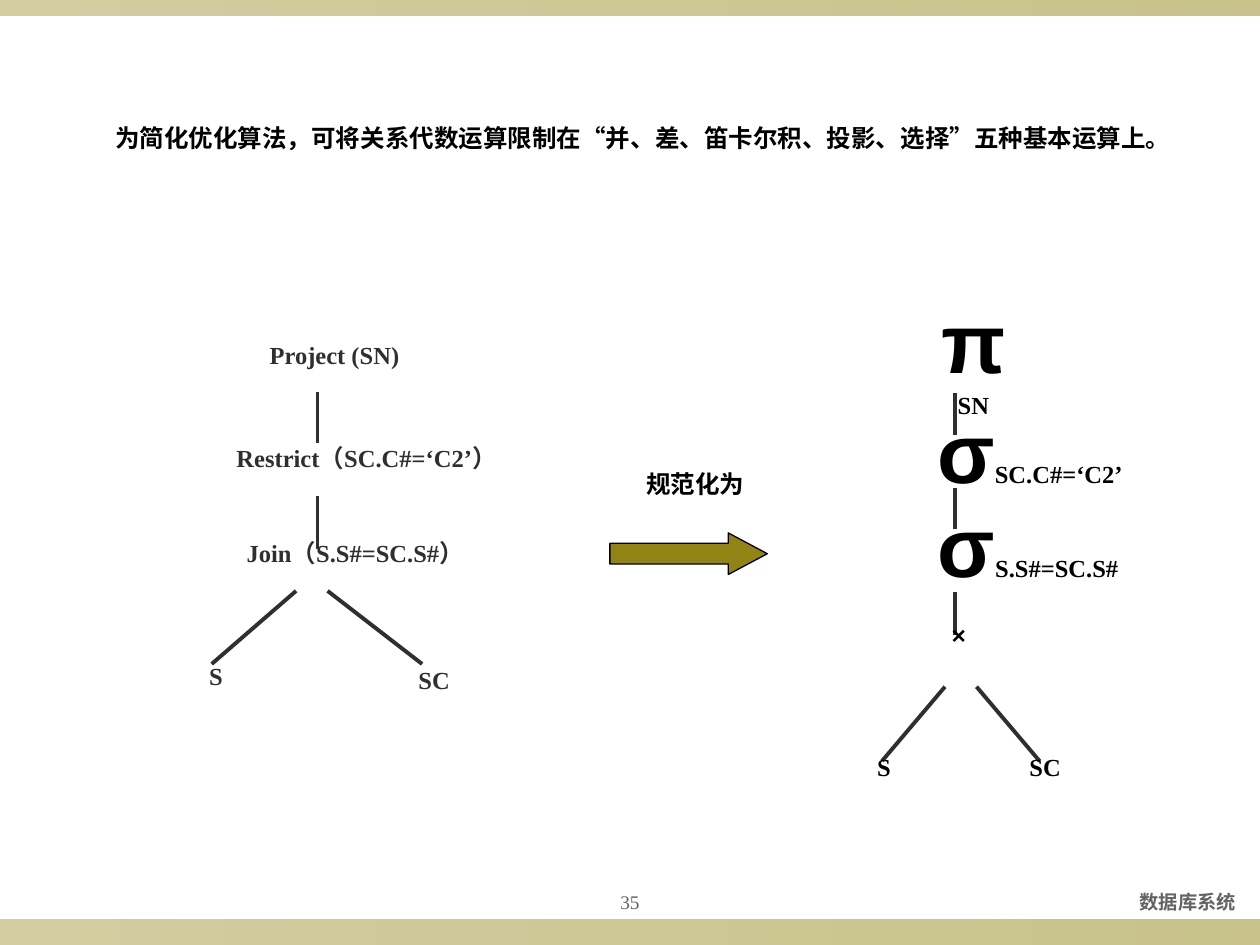
import pptx
import pptx.util
import pptx.dml.color
import pptx.enum.shapes
import pptx.enum.text
import pptx.oxml
import pptx.oxml.ns

Inches = pptx.util.Inches
Pt = pptx.util.Pt
SHAPES = pptx.enum.shapes.MSO_SHAPE
ALIGN = pptx.enum.text.PP_ALIGN
ANCHOR = pptx.enum.text.MSO_ANCHOR
BLACK, DARK, GRAY, OLIVE = "000000", "2F2F2F", "636363", "918415"

presentation = pptx.Presentation()
presentation.slide_width = Inches(10)
presentation.slide_height = Inches(7.5)
slide = presentation.slides.add_slide(presentation.slide_layouts[6])


def rgb(value):
    return pptx.dml.color.RGBColor.from_string(value)


def add_text(text, left, top, width, height=0.34, size=14, font="Times New Roman",
             color=BLACK, bold=True, align=ALIGN.CENTER, anchor=ANCHOR.TOP,
             wrap=False, inset=0.1, space_before=0, symbol="", stacked=False):
    """Add a text box; an optional large symbol comes before or above the text."""
    box = slide.shapes.add_textbox(Inches(left), Inches(top), Inches(width), Inches(height))
    frame = box.text_frame
    frame.word_wrap = wrap
    frame.vertical_anchor = anchor
    frame.margin_left = Inches(inset)
    paragraph = frame.paragraphs[0]
    paragraph.alignment = align
    if space_before:
        paragraph.space_before = Pt(space_before)
    for content, points, name in ((symbol, 48, "Arial"), (text, size, font)):
        if not content:
            continue
        run = paragraph.add_run()
        run.text = content
        run.font.size = Pt(points)
        run.font.name = name
        run.font.bold = bold
        run.font.color.rgb = rgb(color)
        if stacked and content == symbol:
            paragraph.add_line_break()


# Bands at the bottom and top edges
for top, height in ((7.3, 0.2), (0, 0.12)):
    band = slide.shapes.add_shape(SHAPES.RECTANGLE, 0, Inches(top), Inches(10), Inches(height))
    band.shadow.inherit = False
    band.line.fill.background()
    band.fill.gradient()
    band.fill.gradient_angle = 0
    for stop in band.fill.gradient_stops:
        stop.color.rgb = rgb(OLIVE)
    color_elements = band._element.spPr.iter(pptx.oxml.ns.qn("a:srgbClr"))
    for color_element, opacity in zip(list(color_elements), (40000, 50000)):
        color_element.append(pptx.oxml.parse_xml(
            f'<a:alpha {pptx.oxml.ns.nsdecls("a")} val="{opacity}"/>'))

# Footer and slide number
add_text("数据库系统", 5.83, 7, 4.08, 0.31, size=11, color=GRAY,
         align=ALIGN.RIGHT, anchor=ANCHOR.MIDDLE, wrap=True)
add_text("35", 4.5, 7, 1, 0.31, size=11, color=GRAY, bold=False,
         anchor=ANCHOR.MIDDLE, wrap=True)

# Opening statement
add_text("为简化优化算法，可将关系代数运算限制在“并、差、笛卡尔积、投影、选择”五种基本运算上。",
         0.25, 0.93, 9.42, wrap=True, inset=0.39)

# Tree edges: left tree, then right tree
edges = [
    (2.52, 3.11, 2.52, 3.52),
    (2.52, 3.94, 2.52, 4.36),
    (2.35, 4.69, 1.68, 5.27),
    (2.6, 4.69, 3.35, 5.27),
    (7.58, 3.12, 7.58, 3.45),
    (7.58, 3.87, 7.58, 4.2),
    (7.58, 4.7, 7.58, 5.04),
    (7.5, 5.45, 7, 6.04),
    (7.75, 5.45, 8.25, 6.04),
]
for edge in edges:
    connector = slide.shapes.add_connector(
        pptx.enum.shapes.MSO_CONNECTOR.STRAIGHT, *map(Inches, edge))
    connector.line.color.rgb = rgb(DARK)
    connector.line.width = Pt(2.25)
    connector._element.spPr.append(
        pptx.oxml.parse_xml(f'<a:effectLst {pptx.oxml.ns.nsdecls("a")}/>'))

# Left tree nodes
for text, left, top, width in (
    ("Project (SN)", 2.04, 2.65, 1.23),
    ("Restrict（SC.C#=‘C2’）", 1.71, 3.47, 2.4),
    ("Join（S.S#=SC.S#）", 1.79, 4.22, 2.06),
    ("S", 1.56, 5.2, 0.31),
    ("SC", 3.22, 5.23, 0.45),
):
    add_text(text, left, top, width, color=DARK)

# Arrow between the trees
arrow = slide.shapes.add_shape(
    SHAPES.RIGHT_ARROW, Inches(4.84), Inches(4.23), Inches(1.25), Inches(0.33))
arrow.adjustments[0] = 0.5
arrow.adjustments[1] = 0.94
arrow.shadow.inherit = False
arrow.fill.solid()
arrow.fill.fore_color.rgb = rgb(OLIVE)
arrow.line.color.rgb = rgb(BLACK)
arrow.line.width = Pt(0.75)
add_text("规范化为", 5.03, 3.67, 0.98)

# Right tree nodes
add_text("SN", 7.32, 2.25, 0.81, 0.9, symbol="π", stacked=True)
add_text("SC.C#=‘C2’", 7.13, 3.12, 2.09, 0.9, symbol="σ", wrap=True)
add_text("S.S#=SC.S#", 7.13, 3.87, 2.06, 0.9, symbol="σ", wrap=True)
add_text("×", 7.33, 4.87, 0.56, font="Arial", wrap=True, space_before=8.8)
add_text("S", 6.86, 5.92, 0.31)
add_text("SC", 8.07, 5.92, 0.45)

presentation.save("out.pptx")
